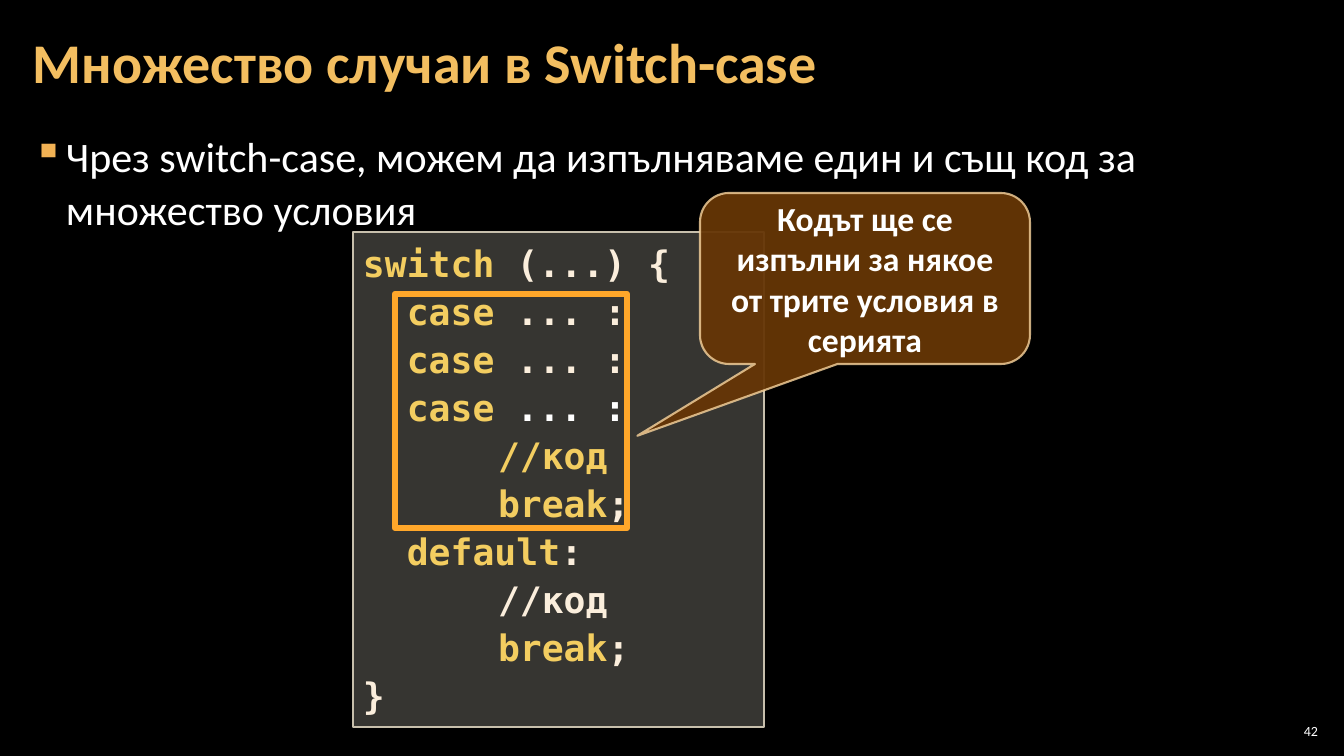
from dataclasses import dataclass

from lxml import etree
from pptx import Presentation, util as u
from pptx.dml.color import RGBColor
from pptx.enum import shapes, text
from pptx.oxml.ns import qn

EMU_PER_PX = 914400 / 100.8
SANS, MONO = "Calibri", "DejaVu Sans Mono"
WHITE, KEYWORD, CODE = "FFFFFF", "F3CD60", "FBEEDC"

Line = list[tuple[str, str]]  # runs of text and colour


@dataclass(frozen=True)
class Box:
    left: int
    top: int
    width: int
    height: int


@dataclass(frozen=True)
class Panel:
    kind: shapes.MSO_SHAPE
    box: Box
    line: str
    line_width: float
    fill: str | None = None
    fill_alpha: int = 100
    line_alpha: int = 100


CODE_PANEL = Panel(shapes.MSO_SHAPE.RECTANGLE, Box(353, 232, 411, 495),
                   "C7BFAC", 1, "D9D5C7", fill_alpha=25)
CASES_FRAME = Panel(shapes.MSO_SHAPE.RECTANGLE, Box(395, 294, 232, 234), "FFA72A", 4.5)
CALLOUT = Panel(shapes.MSO_SHAPE.ROUNDED_RECTANGULAR_CALLOUT, Box(700, 193, 330, 171),
                "F8D49E", 1.5, "663606", fill_alpha=95, line_alpha=80)

CASE: Line = [("  case ", KEYWORD), ("... :", CODE)]
BREAK: Line = [("\tbreak", KEYWORD), (";", CODE)]
CODE_LINES: list[Line] = [
    [("switch", KEYWORD), (" (...) {", CODE)],
    CASE,
    CASE,
    [("  casе ", KEYWORD), ("... :", WHITE)],
    [("\t//код", KEYWORD)],
    BREAK,
    [("  default", KEYWORD), (":", CODE)],
    [("\t//код", CODE)],
    BREAK,
    [("}", CODE)],
]


def px(length: int) -> u.Emu:
    return u.Emu(round(length * EMU_PER_PX))


def place(box: Box) -> tuple:
    return px(box.left), px(box.top), px(box.width), px(box.height)


def set_color(color_format, value: str, alpha: int = 100) -> None:
    """Colour a solid fill, which may be partly transparent."""
    color_format.solid()
    color_format.fore_color.rgb = RGBColor.from_string(value)
    if alpha < 100:
        color = color_format._xPr.find(qn("a:solidFill"))[0]
        etree.SubElement(color, qn("a:alpha"), val=str(alpha * 1000))


def add_bullet(paragraph, character: str, color: str, indent: int) -> None:
    properties = paragraph._p.get_or_add_pPr()
    properties.set("marL", str(px(indent)))
    properties.set("indent", str(-px(indent)))
    bullet_color = etree.SubElement(properties, qn("a:buClr"))
    etree.SubElement(bullet_color, qn("a:srgbClr"), val=color)
    etree.SubElement(properties, qn("a:buChar"), char=character)


def add_tab(paragraph, position: int) -> None:
    tabs = etree.SubElement(paragraph._p.get_or_add_pPr(), qn("a:tabLst"))
    etree.SubElement(tabs, qn("a:tab"), pos=str(px(position)), algn="l")


def write_text(shape, lines: list[Line], *, size: int, font: str = SANS,
               bold: bool = False, align=text.PP_ALIGN.LEFT,
               anchor=text.MSO_ANCHOR.TOP, spacing: float = 1.0,
               inset: tuple[int, int] = (10, 5), bullet: str = "", tab: int = 0) -> None:
    frame = shape.text_frame
    frame.word_wrap = True
    frame.vertical_anchor = anchor
    frame.margin_left = frame.margin_right = px(inset[0])
    frame.margin_top = frame.margin_bottom = px(inset[1])
    for index, line in enumerate(lines):
        paragraph = frame.add_paragraph() if index else frame.paragraphs[0]
        if bullet:
            add_bullet(paragraph, bullet, "F2B254", 33)
        if tab:
            add_tab(paragraph, tab)
        paragraph.alignment = align
        paragraph.line_spacing = spacing
        for words, color in line:
            run = paragraph.add_run()
            run.text = words
            run.font.name, run.font.size, run.font.bold = font, u.Pt(size), bold
            set_color(run.font.fill, color)


def add_text(slide, box: Box, words: str, color: str = WHITE, **style) -> None:
    write_text(slide.shapes.add_textbox(*place(box)), [[(words, color)]], **style)


def add_panel(slide, panel: Panel):
    shape = slide.shapes.add_shape(panel.kind, *place(panel.box))
    shape.shadow.inherit = False
    if panel.fill:
        set_color(shape.fill, panel.fill, panel.fill_alpha)
    else:
        shape.fill.background()
    shape.line.width = u.Pt(panel.line_width)
    set_color(shape.line.fill, panel.line, panel.line_alpha)
    return shape


def main() -> None:
    presentation = Presentation()
    presentation.slide_width, presentation.slide_height = px(1344), px(756)
    slide = presentation.slides.add_slide(presentation.slide_layouts[6])
    set_color(slide.background.fill, "000000")

    # Slide number, body and title
    middle = text.MSO_ANCHOR.MIDDLE
    add_text(slide, Box(1275, 720, 47, 21), "42", size=10, anchor=middle,
             align=text.PP_ALIGN.RIGHT, inset=(4, 4))
    add_text(slide, Box(21, 124, 1301, 608),
             "Чрез switch-case, можем да изпълняваме един и същ код за множество условия",
             size=30, spacing=1.05, inset=(12, 4), bullet="▪")
    add_text(slide, Box(21, 4, 1055, 122), "Множество случаи в Switch-case", "F3BE60",
             size=40, bold=True, anchor=middle, spacing=0.9, inset=(12, 4))

    # Code with the shared cases framed
    write_text(add_panel(slide, CODE_PANEL), CODE_LINES, size=26, font=MONO,
               bold=True, spacing=1.1, tab=135)
    add_panel(slide, CASES_FRAME)

    # Callout pointing at the frame
    callout = add_panel(slide, CALLOUT)
    for index, value in enumerate((-0.69, 0.92, 0.17)):
        callout.adjustments[index] = value
    write_text(callout, [[("Кодът ще се изпълни за някое от трите условия в серията", WHITE)]],
               size=24, bold=True, align=text.PP_ALIGN.CENTER, anchor=middle)

    presentation.save("out.pptx")


if __name__ == "__main__":
    main()
